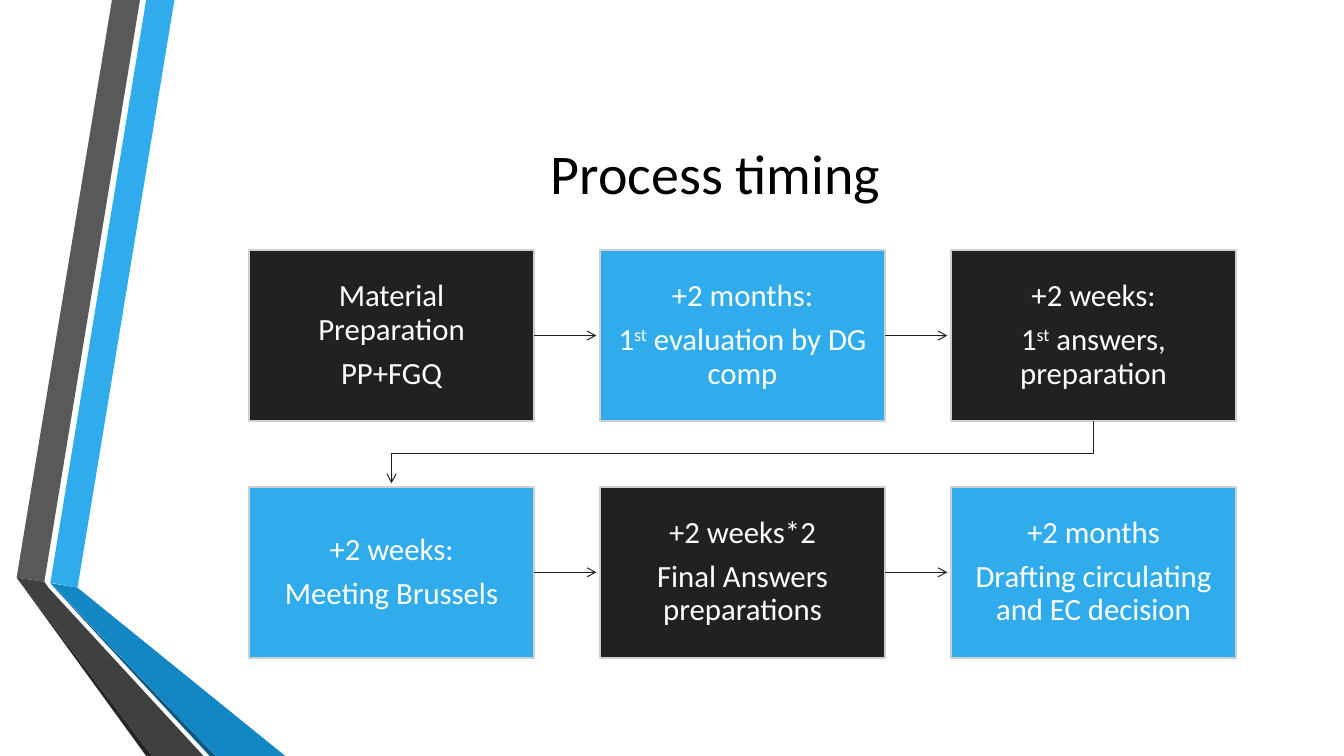
from lxml import etree
from pptx import Presentation
from pptx.dml.color import RGBColor
from pptx.enum.shapes import MSO_CONNECTOR, MSO_SHAPE
from pptx.enum.text import MSO_ANCHOR, PP_ALIGN
from pptx.oxml.ns import qn
from pptx.util import Pt

RECT = MSO_SHAPE.RECTANGLE
STRAIGHT = MSO_CONNECTOR.STRAIGHT
MIDDLE = MSO_ANCHOR.MIDDLE
CENTER = PP_ALIGN.CENTER
RIGHT_SIDE = 3

COLORS = {
    "blue": "30ACEC", "blue_mid": "1287C3", "blue_deep": "0C5A82",
    "grey": "595959", "grey_mid": "404040", "grey_deep": "262626",
    "dark": "212121", "border": "CDD0D1", "white": "FFFFFF", "black": "000000",
}
FONT = "Calibri"

# Ribbon outlines in points, from back to front
RIBBONS = [
    ("blue", [(36, 416.2), (55.4, 419.8), (124.6, 0), (104.4, 0)]),
    ("grey", [(100, 0), (80, 0), (11.9, 412.6), (31.7, 415.5)]),
    ("grey_deep", [(11.9, 412.6), (104.4, 540), (108.7, 540)]),
    ("blue_deep", [(36, 416.9), (149.8, 540), (154.1, 540)]),
    ("blue_mid", [(36, 416.5), (154.1, 540), (203.8, 540), (55.4, 419.8)]),
    ("grey_mid", [(145.4, 540), (34.6, 419.8), (31.7, 415.5), (11.9, 412.6),
                  (108.7, 540)]),
]

# Text between ^ marks is superscript
STEPS = [
    ["Material Preparation", "PP+FGQ"],
    ["+2 months:", "1^st^ evaluation by DG comp"],
    ["+2 weeks:", "1^st^ answers, preparation"],
    ["+2 weeks:", "Meeting Brussels"],
    ["+2 weeks*2", "Final Answers preparations"],
    ["+2 months", "Drafting circulating and EC decision"],
]
COLS = 3
CARD_W, CARD_H, GAP = 203.8, 122.2, 46.9
ARROW_CLEARANCE = 2.5


def rgb(name):
    return RGBColor.from_string(COLORS[name])


def apply(target, formats):
    for name, value in formats.items():
        setattr(target, name, value)


def add_outline(s, points, close):
    pts = [(Pt(x), Pt(y)) for x, y in points]
    builder = s.shapes.build_freeform(*pts[0])
    builder.add_line_segments(pts[1:], close=close)
    sp = builder.convert_to_shape()
    sp.shadow.inherit = False
    return sp


def style_arrow(sp):
    sp.line.color.rgb = rgb("dark")
    sp.line.width = Pt(0.75)
    etree.SubElement(sp.line._get_or_add_ln(), qn("a:tailEnd"), type="arrow")


def add_ribbons(s):
    for color, points in RIBBONS:
        sp = add_outline(s, points, True)
        sp.fill.solid()
        sp.fill.fore_color.rgb = rgb(color)
        sp.line.fill.background()


def add_title(s, left, top, width, height):
    sp = s.shapes.title
    apply(sp, {"left": Pt(left), "top": Pt(top),
               "width": Pt(width), "height": Pt(height)})
    tf = sp.text_frame
    tf.vertical_anchor = MIDDLE
    p = tf.paragraphs[0]
    p.alignment = CENTER
    r = p.add_run()
    r.text = "Process timing"
    apply(r.font, {"name": FONT, "size": Pt(40)})
    r.font.color.rgb = rgb("black")


def add_card(s, left, top, color, lines):
    sp = s.shapes.add_shape(RECT, Pt(left), Pt(top), Pt(CARD_W), Pt(CARD_H))
    sp.shadow.inherit = False
    sp.fill.solid()
    sp.fill.fore_color.rgb = rgb(color)
    sp.line.color.rgb = rgb("border")
    sp.line.width = Pt(1.25)

    tf = sp.text_frame
    apply(tf, {"word_wrap": True, "vertical_anchor": MIDDLE})
    apply(tf, {f"margin_{side}": Pt(12.2)
               for side in ("left", "top", "right", "bottom")})
    for i, line in enumerate(lines):
        p = tf.add_paragraph() if i else tf.paragraphs[0]
        apply(p, {"alignment": CENTER, "line_spacing": 0.9,
                  "space_after": Pt(7.7)})
        for j, part in enumerate(line.split("^")):
            r = p.add_run()
            r.text = part
            apply(r.font, {"name": FONT, "size": Pt(22)})
            r.font.color.rgb = rgb("white")
            if j % 2:
                r._r.get_or_add_rPr().set("baseline", "30000")
    return sp


def add_arrow(s, card, left, top):
    x, y = left + CARD_W, top + CARD_H / 2
    end_x = x + GAP - ARROW_CLEARANCE
    cxn = s.shapes.add_connector(STRAIGHT, Pt(x), Pt(y), Pt(end_x), Pt(y))
    cxn.begin_connect(card, RIGHT_SIDE)
    style_arrow(cxn)
    etree.SubElement(cxn._element.spPr, qn("a:effectLst"))


def add_row_return(s, first_left, last_left, top):
    """Bent arrow from the last card of a row to the first of the next."""
    start_x, end_x = last_left + CARD_W / 2, first_left + CARD_W / 2
    y = top + CARD_H
    mid_y, end_y = y + GAP / 2, y + GAP - ARROW_CLEARANCE
    sp = add_outline(s, [(start_x, y), (start_x, mid_y),
                         (end_x, mid_y), (end_x, end_y)], False)
    sp.fill.background()
    style_arrow(sp)


def add_process(s, left, top):
    for i, lines in enumerate(STEPS):
        row, col = divmod(i, COLS)
        x = left + col * (CARD_W + GAP)
        y = top + row * (CARD_H + GAP)
        card = add_card(s, x, y, "blue" if i % 2 else "dark", lines)
        if col < COLS - 1:
            add_arrow(s, card, x, y)
        elif i < len(STEPS) - 1:
            add_row_return(s, left, x, y)


def main():
    prs = Presentation()
    apply(prs, {"slide_width": Pt(960), "slide_height": Pt(540)})
    s = prs.slides.add_slide(prs.slide_layouts[5])
    add_ribbons(s)
    add_title(s, 116.6, 54, 789.1, 138.2)
    add_process(s, 177.8, 178.6)
    prs.save("out.pptx")


if __name__ == "__main__":
    main()
